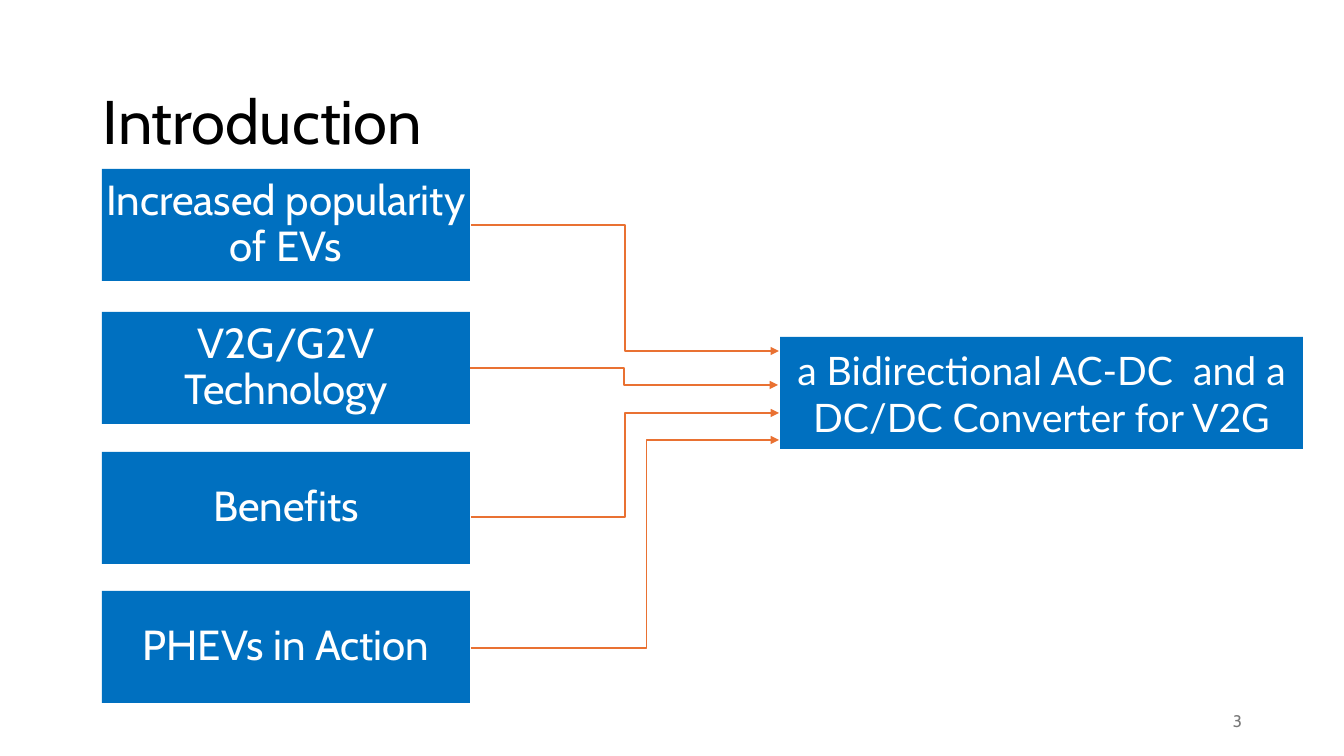
from pptx import Presentation
from pptx.util import Pt
from pptx.dml.color import RGBColor
from pptx.enum.shapes import MSO_SHAPE as Shape, MSO_CONNECTOR as Link
from pptx.enum.text import PP_ALIGN as Align, MSO_ANCHOR as Anchor
from pptx.oxml.ns import qn
from lxml.etree import SubElement as Sub

PX = 9144000 / 1008  # 100.8 px to the inch
COLORS = {"box": "0070C0", "text": "FFFFFF", "title": "000000",
          "page": "797979", "arrow": "E97132"}


def emu(*vals):
    return [round(v * PX) for v in vals]


def write(shape, text, size, color, align, font="Cabin", gap=1.0):
    frame = shape.text_frame
    frame.word_wrap = True
    frame.vertical_anchor = Anchor.MIDDLE
    para = frame.paragraphs[0]
    para.alignment = align
    para.line_spacing = gap
    run = para.add_run()
    run.text = text
    run.font.size = Pt(size)
    run.font.name = font
    run.font.color.rgb = RGBColor.from_string(COLORS[color])


deck = Presentation()
deck.slide_width, deck.slide_height = emu(1344, 756)
slide = deck.slides.add_slide(deck.slide_layouts[6])
shapes = slide.shapes

# Title and page number
title = shapes.add_textbox(*emu(93, 55, 1008, 139))
write(title, "Introduction", 44, "title", Align.LEFT, gap=0.9)
page = shapes.add_textbox(*emu(950, 701, 302, 40))
write(page, "3", 12, "page", Align.RIGHT)

# Topics on the left, converter on the right
boxes = [
    (102, 169, 368, "Increased popularity of EVs", 30, "Cabin", 0.9),
    (102, 312, 368, "V2G/G2V Technology", 30, "Cabin", 0.9),
    (102, 452, 368, "Benefits", 30, "Cabin", 0.9),
    (102, 591, 368, "PHEVs in Action", 30, "Cabin", 0.9),
    (780, 337, 523, "a Bidirectional AC-DC  and a DC/DC Converter for V2G",
     28, "Lato", 1.0),
]
for x, y, wide, text, size, font, gap in boxes:
    box = shapes.add_shape(Shape.RECTANGLE, *emu(x, y, wide, 112))
    box.shadow.inherit = False
    box.fill.solid()
    box.fill.fore_color.rgb = RGBColor.from_string(COLORS["box"])
    box.line.fill.background()
    frame = box.text_frame
    frame.margin_left = frame.margin_right = emu(2)[0]
    frame.margin_top = frame.margin_bottom = emu(2)[0]
    write(box, text, size, "text", Align.CENTER, font, gap)

# Elbow arrows: start x, start y, end y, bend as a share of the width
arrows = [(471, 225, 351, 0.5), (470, 368, 385, 0.5),
          (471, 517, 413, 0.5), (471, 648, 440, 0.57)]
for x, start, end, bend in arrows:
    arrow = shapes.add_connector(Link.ELBOW, *emu(x, start, x + 308, end))
    arrow.line.color.rgb = RGBColor.from_string(COLORS["arrow"])
    arrow.line.width = Pt(1)
    Sub(arrow.line._get_or_add_ln(), qn("a:tailEnd"), type="triangle")
    props = arrow._element.spPr
    Sub(props, qn("a:effectLst"))
    guides = props.find(qn("a:prstGeom")).find(qn("a:avLst"))
    Sub(guides, qn("a:gd"), name="adj1", fmla=f"val {round(bend * 100000)}")

deck.save("out.pptx")
